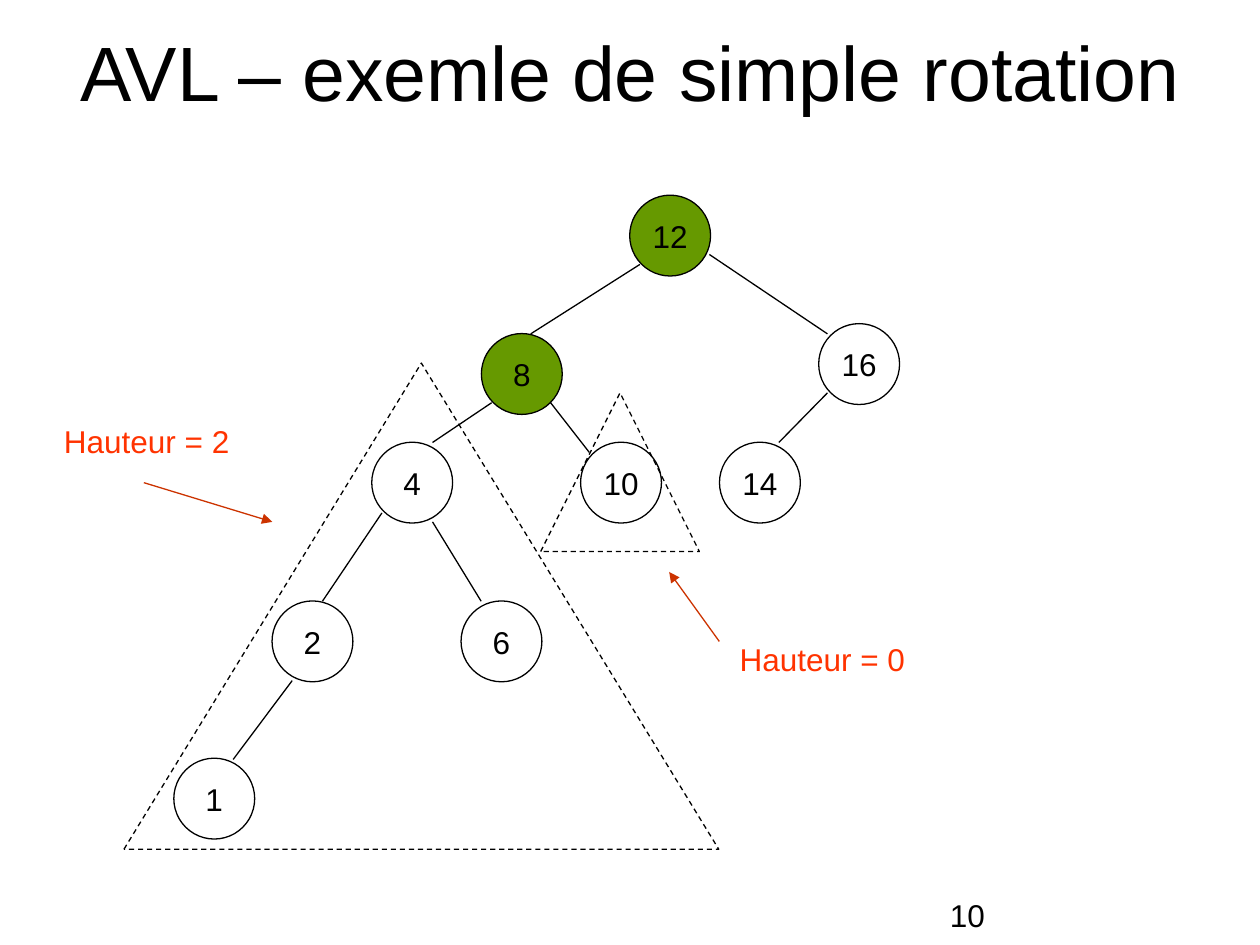
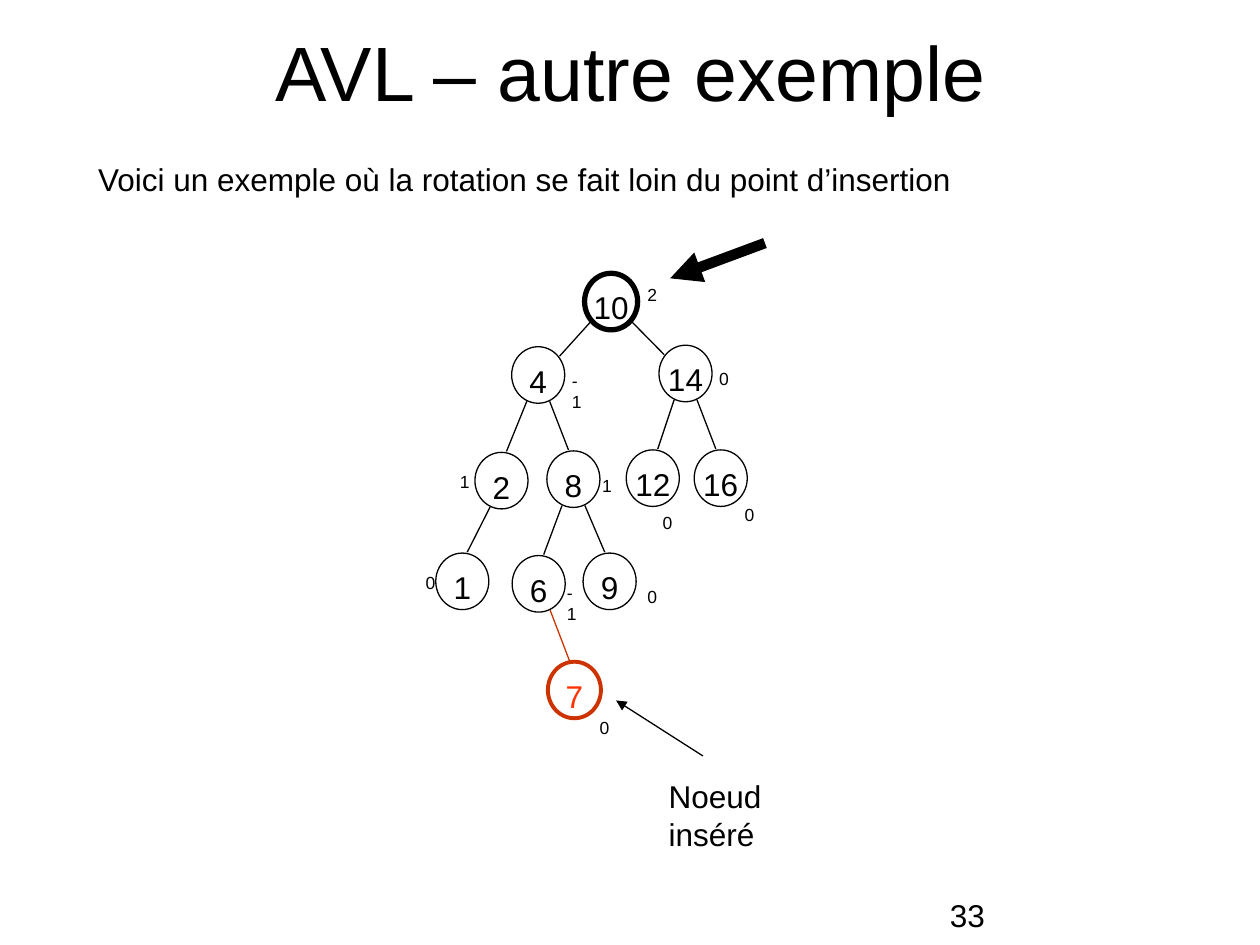
from dataclasses import dataclass
from typing import Optional

from lxml import etree
from pptx import Presentation
from pptx.dml.color import RGBColor
from pptx.enum.dml import MSO_LINE
from pptx.enum.shapes import MSO_CONNECTOR, MSO_SHAPE
from pptx.enum.text import MSO_ANCHOR, MSO_AUTO_SIZE, PP_ALIGN
from pptx.oxml.ns import qn
from pptx.util import Cm, Pt

BLACK = RGBColor(0x00, 0x00, 0x00)
GREEN = RGBColor(0x66, 0x99, 0x00)
RED_INK = RGBColor(0xFF, 0x33, 0x00)
RED_LINE = RGBColor(0xCC, 0x33, 0x00)

FONT = "Arial"
TITLE_SIZE, BODY_SIZE, BALANCE_SIZE = 44, 18, 10
THIN = 0.75

OVAL = MSO_SHAPE.OVAL
TRIANGLE = MSO_SHAPE.ISOSCELES_TRIANGLE
STRAIGHT = MSO_CONNECTOR.STRAIGHT
DASH = MSO_LINE.DASH
TOP, MIDDLE = MSO_ANCHOR.TOP, MSO_ANCHOR.MIDDLE
LEFT, CENTER = PP_ALIGN.LEFT, PP_ALIGN.CENTER
NO_AUTOSIZE = MSO_AUTO_SIZE.NONE

# Boxes are left, top, width, height in centimetres
TITLE_BOX = (0.51, 0.33, 24.41, 2.21)
NUMBER_BOX = (18.9, 17.93, 5.99, 0.71)


@dataclass
class Node:
    x: float  # centre, relative to the tree box
    y: float
    fill: Optional[RGBColor] = None
    outline: RGBColor = BLACK
    weight: float = THIN
    ink: RGBColor = BLACK


@dataclass
class NodeStyle:
    width: float
    height: float
    label_inset: float


# Simple rotation: centres, and edges with the distances of their ends
# from the centres of parent and child
ROTATION_BOX = (2.5, 3.95, 15.63, 13.2)
ROTATION_STYLE = NodeStyle(1.63, 1.63, 0.2)
ROTATION_NODES = {
    "12": Node(11.01, 0.8, fill=GREEN),
    "8": Node(8.02, 3.59, fill=GREEN),
    "4": Node(5.81, 5.78),
    "10": Node(10.02, 5.78),
    "16": Node(14.82, 3.39),
    "2": Node(3.8, 8.98),
    "14": Node(12.82, 5.78),
    "6": Node(7.61, 8.98),
    "1": Node(1.82, 12.15),
}
ROTATION_EDGES = [
    ("12", "8", (0.61, 0.58), (0.18, 0.81)),
    ("12", "16", (0.79, 0.38), (0.64, 0.61)),
    ("16", "14", (0.64, 0.58), (0.38, 0.81)),
    ("8", "10", (0.58, 0.58), (0.64, 0.61)),
    ("8", "4", (0.61, 0.58), (0.41, 0.81)),
    ("4", "6", (0.41, 0.79), (0.41, 0.81)),
    ("4", "2", (0.61, 0.61), (0.2, 0.81)),
    ("2", "1", (0.41, 0.79), (0.38, 0.79)),
]
SUBTREES = [(0, 3.37, 11.99, 9.8), (8.4, 3.97, 3.2, 3.2)]

# Insertion far from the rotation
INSERTION_BOX = (8.3, 5.5, 6.8, 9.1)
INSERTION_STYLE = NodeStyle(1.07, 1.14, 0.14)
INSERTION_NODES = {
    "10": Node(4.02, 0.58, weight=3),
    "14": Node(5.52, 2.03),
    "4": Node(2.55, 2.06),
    "8": Node(3.26, 4.16),
    "16": Node(6.23, 4.14),
    "2": Node(1.81, 4.19),
    "6": Node(2.56, 6.27),
    "12": Node(4.86, 4.14),
    "1": Node(1.02, 6.22),
    "9": Node(3.99, 6.22),
    "7": Node(3.28, 8.41, outline=RED_LINE, weight=2.25, ink=RED_INK),
}
WIDE_FORK = ((0.38, 0.37), (0.43, 0.38))
STEEP_FORK = ((0.23, 0.53), (0.1, 0.59))
STEEP_PAIRS = [("4", "2"), ("4", "8"), ("14", "12"), ("14", "16"),
               ("2", "1"), ("8", "6"), ("8", "9"), ("6", "7")]
INSERTION_EDGES = (
    [("10", child, *WIDE_FORK) for child in ("4", "14")]
    + [(parent, child, *STEEP_FORK) for parent, child in STEEP_PAIRS]
)
BALANCES = [
    ("2", 4.5, 0.11), ("-1", 2.98, 1.84), ("0", 5.95, 1.79),
    ("1", 0.72, 3.87), ("1", 3.59, 3.95), ("0", 4.81, 4.69),
    ("0", 6.46, 4.53), ("0", 0.03, 5.9), ("-1", 2.88, 6.11),
    ("0", 4.5, 6.18), ("0", 3.54, 8.83),
]


def write(frame, text, size=BODY_SIZE, ink=BLACK, align=LEFT):
    paragraph = frame.paragraphs[0]
    paragraph.alignment = align
    run = paragraph.add_run()
    run.text = text
    run.font.name = FONT
    run.font.size = Pt(size)
    run.font.color.rgb = ink


def add_text(slide, box, text, size=BODY_SIZE, ink=BLACK, wrap=False):
    frame = slide.shapes.add_textbox(*map(Cm, box)).text_frame
    frame.word_wrap = wrap
    write(frame, text, size, ink)


def add_outline(slide, kind, box, colour=BLACK, weight=THIN, fill=None):
    outline = slide.shapes.add_shape(kind, *map(Cm, box))
    outline.shadow.inherit = False
    if fill is None:
        outline.fill.background()
    else:
        outline.fill.solid()
        outline.fill.fore_color.rgb = fill
    outline.line.color.rgb = colour
    outline.line.width = Pt(weight)
    return outline


def add_line(slide, start, end, colour=BLACK, weight=THIN, arrow=False):
    line = slide.shapes.add_connector(STRAIGHT, *map(Cm, (*start, *end)))
    line.line.color.rgb = colour
    line.line.width = Pt(weight)
    properties = line._element.spPr
    if arrow:
        head = etree.SubElement(properties.find(qn("a:ln")), qn("a:tailEnd"))
        head.set("type", "triangle")
    etree.SubElement(properties, qn("a:effectLst"))


def add_frame(deck, title, number):
    """Slide with its title and its number."""
    slide = deck.slides.add_slide(deck.slide_layouts[5])
    heading = slide.shapes.title
    heading.left, heading.top, heading.width, heading.height = map(Cm, TITLE_BOX)
    heading.text_frame.vertical_anchor = MIDDLE
    heading.text_frame.auto_size = NO_AUTOSIZE
    write(heading.text_frame, title, TITLE_SIZE, align=CENTER)
    add_text(slide, NUMBER_BOX, number, wrap=True)
    return slide


def draw_node(slide, origin, label, node, style):
    left = origin[0] + node.x - style.width / 2
    top = origin[1] + node.y - style.height / 2
    circle = add_outline(slide, OVAL, (left, top, style.width, style.height),
                         node.outline, node.weight, node.fill)
    frame = circle.text_frame
    frame.word_wrap = False
    frame.vertical_anchor = TOP
    frame.margin_left = frame.margin_right = frame.margin_bottom = 0
    frame.margin_top = Cm(style.label_inset)
    write(frame, label, ink=node.ink, align=CENTER)


def draw_tree(slide, box, nodes, edges, style):
    """Nodes, and edges that lean towards the side of the child."""
    left, top = box[:2]
    for label, node in nodes.items():
        draw_node(slide, (left, top), label, node, style)
    for parent_label, child_label, leave, arrive in edges:
        parent, child = nodes[parent_label], nodes[child_label]
        side = 1 if child.x > parent.x else -1
        start = (left + parent.x + side * leave[0], top + parent.y + leave[1])
        end = (left + child.x - side * arrive[0], top + child.y - arrive[1])
        add_line(slide, start, end, child.outline)


def draw_subtrees(slide, box):
    for x, y, width, height in SUBTREES:
        triangle = add_outline(slide, TRIANGLE,
                               (box[0] + x, box[1] + y, width, height))
        triangle.line.dash_style = DASH


def draw_balances(slide, box):
    for balance, x, y in BALANCES:
        width = 0.69 if len(balance) == 1 else 0.81
        add_text(slide, (box[0] + x, box[1] + y, width, 0.69), balance, BALANCE_SIZE)


def draw_arrow(slide, box, start, end, colour=BLACK, weight=THIN):
    left, top = box[:2]
    add_line(slide, (left + start[0], top + start[1]),
             (left + end[0], top + end[1]), colour, weight, arrow=True)


def draw_note(slide, box, text, start, end, ink=BLACK, colour=BLACK):
    """Note with an arrow placed relative to it."""
    add_text(slide, box, text, ink=ink)
    draw_arrow(slide, box, start, end, colour)


def build_rotation(deck):
    slide = add_frame(deck, "AVL – exemle de simple rotation", "10")
    draw_tree(slide, ROTATION_BOX, ROTATION_NODES, ROTATION_EDGES, ROTATION_STYLE)
    draw_subtrees(slide, ROTATION_BOX)
    draw_note(slide, (1.04, 8.38, 3.84, 1.02), "Hauteur = 2",
              (1.86, 1.35), (4.45, 2.14), RED_INK, RED_LINE)
    draw_note(slide, (14.66, 12.78, 3.84, 1.02), "Hauteur = 0",
              (-0.16, 0.15), (-1.17, -1.25), RED_INK, RED_LINE)


def build_insertion(deck):
    slide = add_frame(deck, "AVL – autre exemple", "33")
    add_text(slide, (1.73, 3.1, 17.73, 1.02),
             "Voici un exemple où la rotation se fait loin du point d’insertion")
    draw_tree(slide, INSERTION_BOX, INSERTION_NODES, INSERTION_EDGES, INSERTION_STYLE)
    draw_balances(slide, INSERTION_BOX)
    # Arrow to the unbalanced root
    draw_arrow(slide, INSERTION_BOX, (7.12, -0.6), (5.21, 0.11), weight=6)
    draw_note(slide, (13.23, 15.54, 4.27, 1.02), "Noeud inséré",
              (0.94, -0.3), (-0.81, -1.42))


def main():
    deck = Presentation()
    deck.slide_width, deck.slide_height = Cm(25.4), Cm(19.05)
    build_rotation(deck)
    build_insertion(deck)
    deck.save("out.pptx")


if __name__ == "__main__":
    main()
